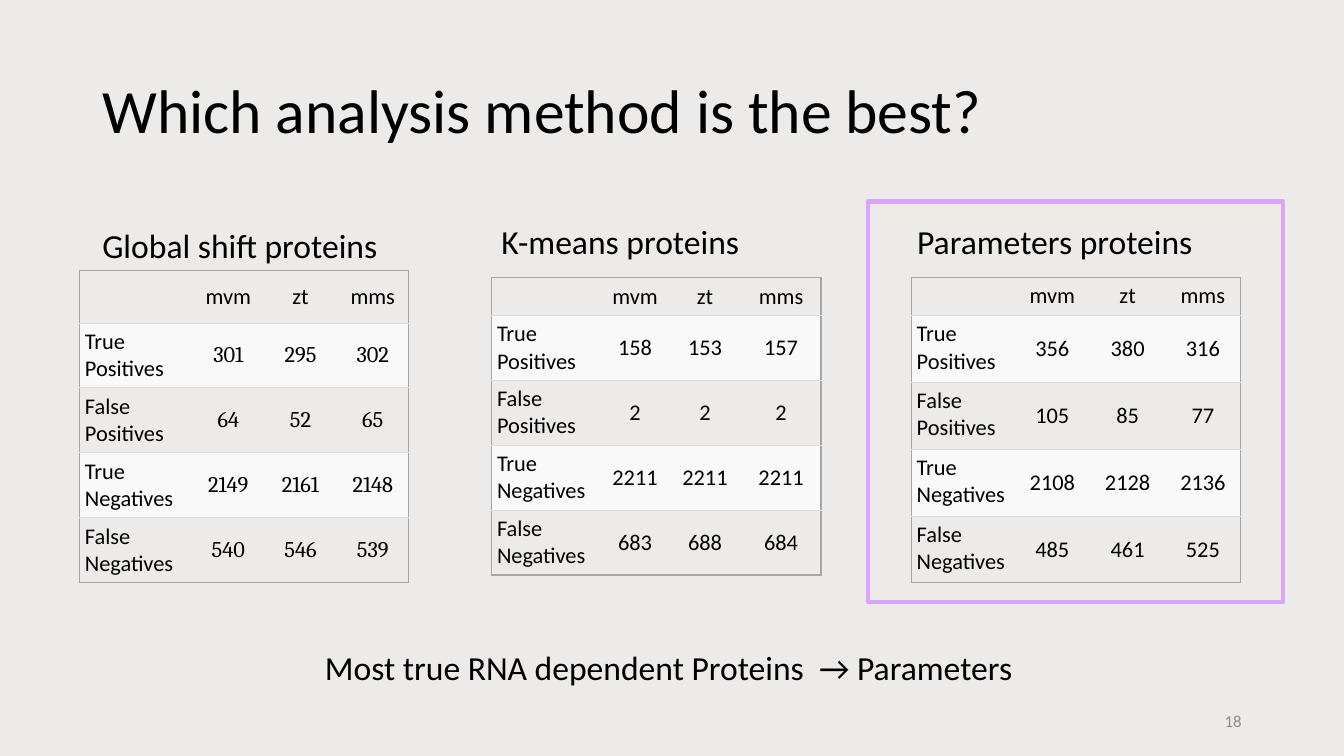
from dataclasses import dataclass

from lxml import etree
from pptx import Presentation
from pptx.dml.color import RGBColor
from pptx.enum import shapes, text
from pptx.oxml import ns
from pptx.util import Pt


@dataclass(frozen=True)
class Theme:
    background: str = "ECEBE9"
    ink: str = "000000"
    muted: str = "8C8C8C"
    highlight: str = "D9A6FF"
    band: str = "F9F9F9"
    frame: str = "A6A6A6"
    rule: str = "DDDDDD"
    font: str = "Calibri"
    serif: str = "Cambria"
    title: float = 44
    heading: float = 24
    cell: float = 16
    small: float = 12


LEFT, CENTER, RIGHT = (text.PP_ALIGN.LEFT, text.PP_ALIGN.CENTER,
                       text.PP_ALIGN.RIGHT)
TOP, MIDDLE, BOTTOM = (text.MSO_ANCHOR.TOP, text.MSO_ANCHOR.MIDDLE,
                       text.MSO_ANCHOR.BOTTOM)
NO_STYLE = "{2D5ABB26-0587-4C30-8999-92F81FD0307C}"


def set_formats(target, formats):
    for name, value in formats.items():
        setattr(target, name, value)


class SlideBuilder:
    def __init__(self, prs, theme):
        self.theme = theme
        self.slide = prs.slides.add_slide(prs.slide_layouts[5])
        fill = self.slide.background.fill
        fill.solid()
        fill.fore_color.rgb = RGBColor.from_string(theme.background)

    def add_words(self, p, words, size, color=None, font=None, align=LEFT):
        p.alignment = align
        r = p.add_run()
        r.text = words
        set_formats(r.font, {"size": Pt(size), "name": font or self.theme.font,
                             "bold": False})
        r.font.color.rgb = RGBColor.from_string(color or self.theme.ink)

    def title(self, words, left, top, width, height):
        sp = self.slide.shapes.title
        set_formats(sp, {"left": Pt(left), "top": Pt(top),
                         "width": Pt(width), "height": Pt(height)})
        tf = sp.text_frame
        set_formats(tf, {"vertical_anchor": MIDDLE, "word_wrap": True,
                         "auto_size": text.MSO_AUTO_SIZE.NONE})
        p = tf.paragraphs[0]
        p.line_spacing = 0.9
        self.add_words(p, words, self.theme.title)

    def label(self, words, *box, size=None, color=None, align=LEFT, anchor=TOP):
        sp = self.slide.shapes.add_textbox(*map(Pt, box))
        tf = sp.text_frame
        set_formats(tf, {"word_wrap": True, "vertical_anchor": anchor})
        self.add_words(tf.paragraphs[0], words, size or self.theme.heading,
                       color, align=align)

    def outline(self, *box):
        sp = self.slide.shapes.add_shape(shapes.MSO_SHAPE.RECTANGLE,
                                         *map(Pt, box))
        sp.shadow.inherit = False
        sp.fill.background()
        sp.line.color.rgb = RGBColor.from_string(self.theme.highlight)
        sp.line.width = Pt(3)

    def borders(self, cell, edges):
        tc_pr = cell._tc.get_or_add_tcPr()
        for i, side in enumerate("LRTB"):
            ln = etree.Element(ns.qn(f"a:ln{side}"))
            if edges[side]:
                color, width = edges[side]
                ln.set("w", str(Pt(width)))
                fill = etree.SubElement(ln, ns.qn("a:solidFill"))
                etree.SubElement(fill, ns.qn("a:srgbClr"), val=color)
            else:
                ln.set("w", "0")
                etree.SubElement(ln, ns.qn("a:noFill"))
            tc_pr.insert(i, ln)

    def table(self, left, top, rows, widths, heights, header_anchor, number_font):
        th = self.theme
        frame, rule = (th.frame, 1), (th.rule, 0.5)
        last_row, last_col = len(rows) - 1, len(widths) - 1
        sp = self.slide.shapes.add_table(len(rows), len(widths), Pt(left), Pt(top),
                                         Pt(sum(widths)), Pt(sum(heights)))
        table = sp.table
        set_formats(table, {"first_row": False, "horz_banding": False})
        table._tbl.tblPr.find(ns.qn("a:tableStyleId")).text = NO_STYLE
        for column, width in zip(table.columns, widths):
            column.width = Pt(width)
        for i, row in enumerate(rows):
            table.rows[i].height = Pt(heights[i])
            for j, value in enumerate(row):
                cell = table.cell(i, j)
                number = i > 0 and j > 0
                side, end = (5, 0) if number else (4, 3.6)
                anchor = header_anchor if i == 0 else MIDDLE if j else TOP
                set_formats(cell, {"margin_left": Pt(side), "margin_right": Pt(side),
                                   "margin_top": Pt(end), "margin_bottom": Pt(end),
                                   "vertical_anchor": anchor})
                p = cell.text_frame.paragraphs[0]
                if value:
                    self.add_words(p, value, th.cell, align=CENTER if j else LEFT,
                                   font=number_font if number else th.font)
                else:
                    etree.SubElement(p._p, ns.qn("a:endParaRPr"),
                                     sz=str(int(th.cell * 100)))
                if i % 2:
                    cell.fill.solid()
                    cell.fill.fore_color.rgb = RGBColor.from_string(th.band)
                else:
                    cell.fill.background()
                self.borders(cell, {"L": frame if j == 0 else None,
                                    "R": frame if j == last_col else None,
                                    "T": frame if i == 0 else rule,
                                    "B": frame if i == last_row else rule})


HEADER = ["", "mvm", "zt", "mms"]
OUTCOMES = ["True Positives", "False Positives",
            "True Negatives", "False Negatives"]

# Each method: heading and its place, table position, sizes, styling and counts
METHODS = [
    dict(heading="Global shift proteins", heading_at=(66, 157),
         left=56.7, top=193, widths=[80.6, 51.6, 51.6, 51.6],
         heights=[37.6] + [46.4] * 4, header_anchor=MIDDLE,
         number_font=Theme.serif,
         counts=[(301, 295, 302), (64, 52, 65),
                 (2149, 2161, 2148), (540, 546, 539)]),
    dict(heading="K-means proteins", heading_at=(351, 154),
         left=351, top=198, widths=[78.5, 48.2, 51.8, 56.9],
         heights=[27.2] + [46.4] * 4, header_anchor=BOTTOM,
         number_font=Theme.font,
         counts=[(158, 153, 157), (2, 2, 2),
                 (2211, 2211, 2211), (683, 688, 684)]),
    dict(heading="Parameters proteins", heading_at=(648, 154),
         left=650.8, top=198, widths=[74, 53.8, 53.8, 53.8],
         heights=[27.2] + [47.8] * 4, header_anchor=MIDDLE,
         number_font=Theme.font,
         counts=[(356, 380, 316), (105, 85, 77),
                 (2108, 2128, 2136), (485, 461, 525)]),
]


def main():
    prs = Presentation()
    set_formats(prs, {"slide_width": Pt(960), "slide_height": Pt(540)})
    theme = Theme()
    s = SlideBuilder(prs, theme)

    # Title and highlighted best method
    s.title("Which analysis method is the best?", 66, 28.8, 828, 104.4)
    s.outline(620, 144, 296.6, 286)

    # Headed table for each method
    for method in METHODS:
        m = dict(method)
        s.label(m.pop("heading"), *m.pop("heading_at"), 285, 36)
        counts = m.pop("counts")
        rows = [HEADER] + [[name, *map(str, values)]
                           for name, values in zip(OUTCOMES, counts)]
        s.table(rows=rows, **m)

    # Conclusion and page number
    s.label("Most true RNA dependent Proteins  → Parameters", 225, 458.6, 544, 36)
    s.label("18", 678, 500.5, 216, 28.8, size=theme.small, color=theme.muted,
            align=RIGHT, anchor=MIDDLE)

    prs.save("out.pptx")


if __name__ == "__main__":
    main()
